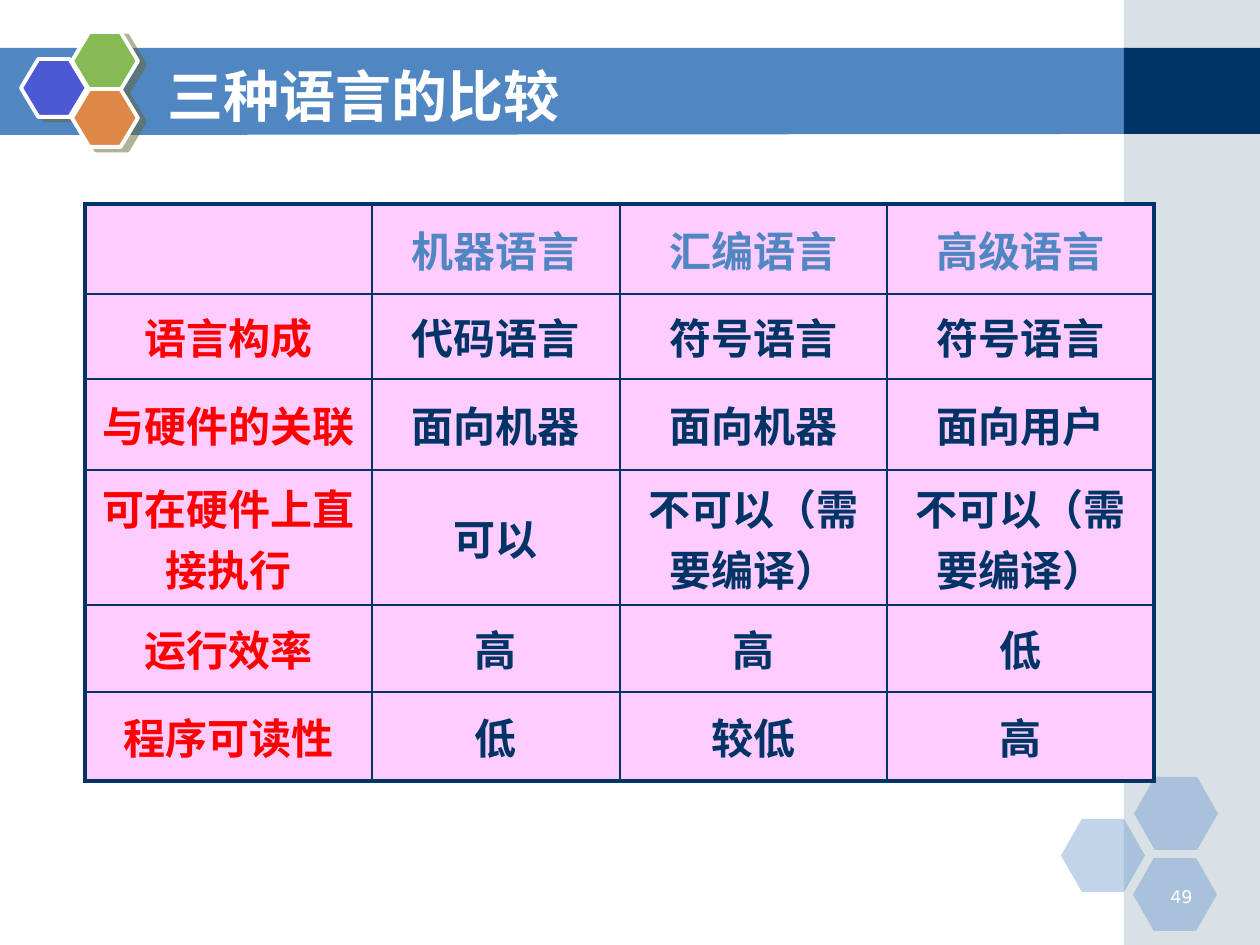
from lxml.etree import SubElement
from pptx import Presentation
from pptx.dml.color import RGBColor
from pptx.enum.shapes import MSO_SHAPE
from pptx.enum.text import MSO_ANCHOR, PP_ALIGN
from pptx.oxml.ns import qn
from pptx.util import Emu, Pt

BLUE, NAVY, RED, WHITE, PINK = "5086C2", "003366", "FF0000", "FFFFFF", "FFCCFF"
CJK, LATIN = "Noto Sans CJK SC", "DejaVu Sans"

COMPARISON = [
    ["", "机器语言", "汇编语言", "高级语言"],
    ["语言构成", "代码语言", "符号语言", "符号语言"],
    ["与硬件的关联", "面向机器", "面向机器", "面向用户"],
    ["可在硬件上直接执行", "可以", "不可以（需要编译）", "不可以（需要编译）"],
    ["运行效率", "高", "高", "低"],
    ["程序可读性", "低", "较低", "高"],
]
COLUMNS = [287, 248, 267, 267]
ROWS = [90, 85, 91, 135, 87, 89]


def px(n):
    return Emu(round(n * 914400 / 126))


def rgb(color):
    return RGBColor.from_string(color)


def add_color(parent, color, alpha=100):
    clr = SubElement(parent, qn("a:srgbClr"), val=color)
    if alpha < 100:
        SubElement(clr, qn("a:alpha"), val=str(alpha * 1000))


class SlideBuilder:
    def __init__(self, s):
        self.s = s

    def paint(self, sp, fill, alpha=100, line=None):
        sp.shadow.inherit = False
        sp.fill.solid()
        sp.fill.fore_color.rgb = rgb(fill)
        if alpha < 100:
            clr = sp.fill._xPr.find(".//" + qn("a:srgbClr"))
            SubElement(clr, qn("a:alpha"), val=str(alpha * 1000))
        if line:
            sp.line.color.rgb = rgb(line)
            sp.line.width = Pt(2.25)
        else:
            sp.line.fill.background()

    def shape(self, kind, box, fill, alpha=100, line=None):
        sp = self.s.shapes.add_shape(kind, *map(px, box))
        self.paint(sp, fill, alpha, line)
        return sp

    def hexagon(self, box, fill, adj, alpha=100, line=None):
        sp = self.shape(MSO_SHAPE.HEXAGON, box, fill, alpha, line)
        sp.adjustments[0] = adj
        return sp

    def drop_shadow(self, sp):
        effects = sp._element.spPr.find(qn("a:effectLst"))
        shadow = SubElement(effects, qn("a:outerShdw"), blurRad="0",
                            dist=str(Pt(4.5)), dir=str(27 * 60000),
                            algn="ctr", rotWithShape="0")
        add_color(shadow, "666633", 50)

    def polygon(self, points, fill):
        start, *rest = [(px(x), px(y)) for x, y in points]
        builder = self.s.shapes.build_freeform(*start)
        builder.add_line_segments(rest, close=True)
        self.paint(builder.convert_to_shape(), fill)

    def format(self, p, size, color, font=CJK, bold=False, align=None):
        p.alignment = align
        for r in p.runs:
            r.font.size, r.font.bold, r.font.name = Pt(size), bold, font
            r.font.color.rgb = rgb(color)
            latin = r._r.rPr.find(qn("a:latin"))
            latin.addnext(latin.makeelement(qn("a:ea"), {"typeface": font}))

    def text(self, box, text, size, color, anchor=MSO_ANCHOR.TOP, **style):
        tf = self.s.shapes.add_textbox(*map(px, box)).text_frame
        tf.word_wrap = True
        tf.vertical_anchor = anchor
        tf.text = text
        self.format(tf.paragraphs[0], size, color, **style)

    def borders(self, cell, outer):
        """Draw all four edges, thicker on the sides named in outer."""
        tcPr = cell._tc.get_or_add_tcPr()
        for i, side in enumerate("LRTB"):
            width = Pt(2.25 if side in outer else 1)
            ln = tcPr.makeelement(qn(f"a:ln{side}"), {"w": str(width)})
            add_color(SubElement(ln, qn("a:solidFill")), NAVY)
            tcPr.insert(i, ln)

    def table(self, box, rows, widths, heights):
        table = self.s.shapes.add_table(len(rows), len(widths), *map(px, box)).table
        for column, width in zip(table.columns, widths):
            column.width = px(width)
        for row, height in zip(table.rows, heights):
            row.height = px(height)
        for i, row in enumerate(rows):
            for j, text in enumerate(row):
                cell = table.cell(i, j)
                cell.text = text
                cell.vertical_anchor = MSO_ANCHOR.MIDDLE
                color = BLUE if i == 0 else RED if j == 0 else NAVY
                self.format(cell.text_frame.paragraphs[0], 24, color,
                            bold=True, align=PP_ALIGN.CENTER)
                cell.fill.solid()
                cell.fill.fore_color.rgb = rgb(PINK)
                edges = {"L": j == 0, "R": j == len(widths) - 1,
                         "T": i == 0, "B": i == len(rows) - 1}
                self.borders(cell, [side for side in edges if edges[side]])


def main():
    prs = Presentation()
    prs.slide_width, prs.slide_height = px(1260), px(945)
    b = SlideBuilder(prs.slides.add_slide(prs.slide_layouts[6]))

    b.polygon([(-1, 48), (1128, 48), (1128, 134), (-1, 135)], BLUE)
    b.shape(MSO_SHAPE.RECTANGLE, (1124, 0, 136, 945), "A0B5C4", alpha=40)
    b.shape(MSO_SHAPE.RECTANGLE, (1124, 48, 136, 86), NAVY)

    for x, y in [(1061, 819), (1134, 777), (1133, 858)]:
        b.hexagon((x, y, 84, 73), BLUE, 0.286, alpha=35)
    for x, y, color in [(21, 59, "4C59D2"), (72, 32, "85BA54"), (72, 89, "DE8848")]:
        b.drop_shadow(b.hexagon((x, y, 66, 58), color, 0.3, line=WHITE))

    b.text((1142, 880, 63, 32), "49", 10, WHITE, font=LATIN, align=PP_ALIGN.RIGHT)
    b.text((155, 56, 1071, 79), "三种语言的比较", 32, WHITE,
           anchor=MSO_ANCHOR.MIDDLE, bold=True)
    b.table((85, 204, sum(COLUMNS), sum(ROWS)), COMPARISON, COLUMNS, ROWS)

    prs.save("out.pptx")


if __name__ == "__main__":
    main()
